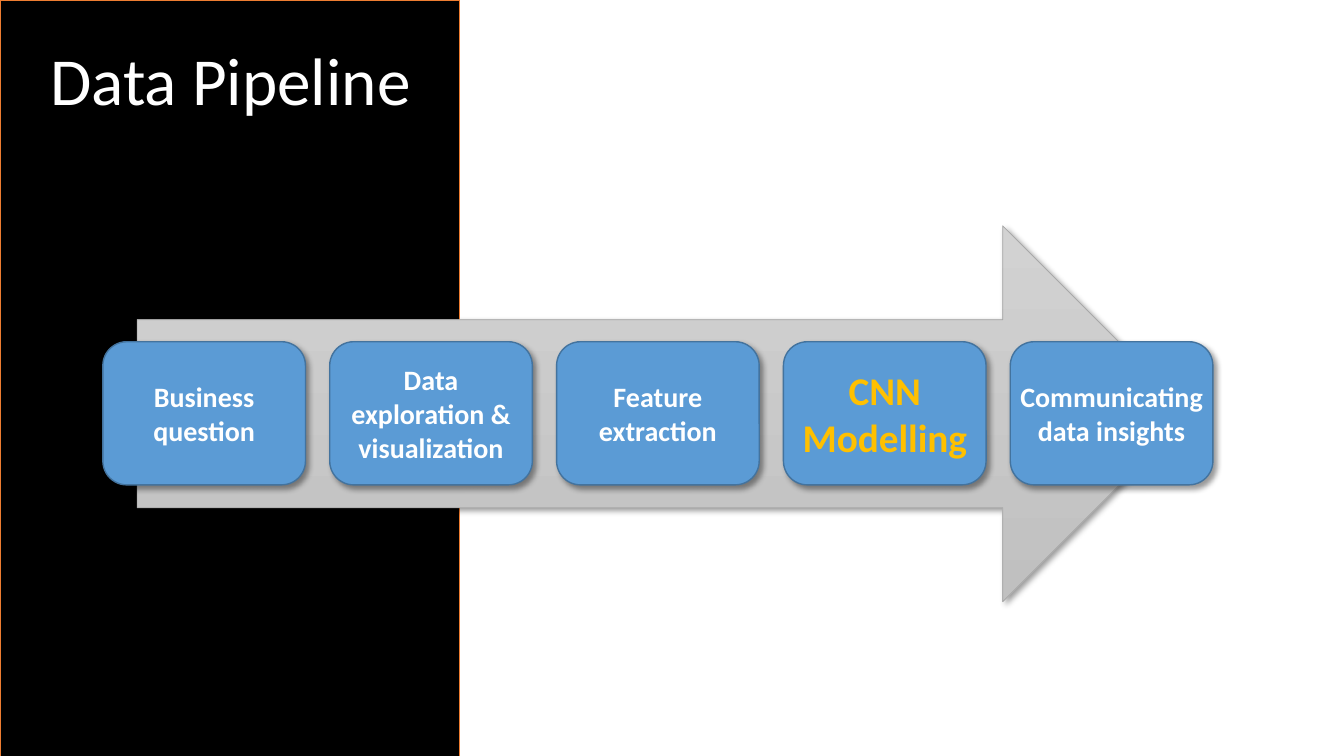
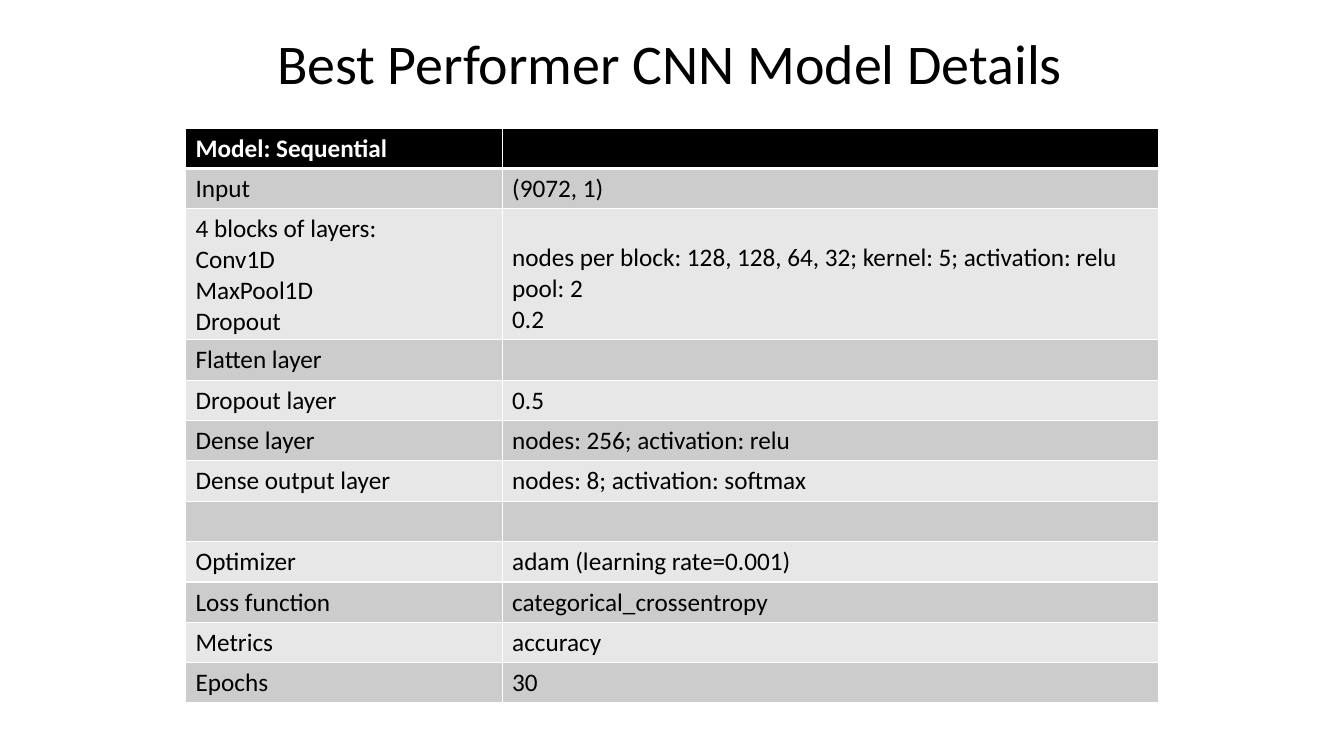
from dataclasses import dataclass

from lxml.etree import SubElement
from pptx import Presentation
from pptx.dml.color import RGBColor
from pptx.enum.shapes import MSO_SHAPE
from pptx.enum.text import MSO_ANCHOR, MSO_AUTO_SIZE, PP_ALIGN
from pptx.oxml import parse_xml
from pptx.oxml.ns import nsdecls, qn
from pptx.util import Inches, Pt


@dataclass(frozen=True)
class Theme:
    font: str = "Calibri"
    black: str = "000000"
    white: str = "FFFFFF"
    panel_line: str = "ED7D31"
    arrow_top: str = "D2D2D2"
    arrow_bottom: str = "C0C0C0"
    arrow_line: str = "A5A5A5"
    step: str = "5B9BD5"
    step_line: str = "43739E"
    highlight: str = "FFC000"
    band_dark: str = "CCCCCC"
    band_light: str = "E7E7E7"
    cover_title: int = 48
    title: int = 40
    highlight_size: int = 28
    label: int = 20
    body: int = 18


THEME = Theme()


def rgb(value):
    return RGBColor.from_string(value)


def add_shadow(effects):
    shadow = SubElement(effects, qn("a:outerShdw"), blurRad=str(Pt(4)),
                        dist=str(Pt(3)), dir="2700000", algn="tl", rotWithShape="0")
    color = SubElement(shadow, qn("a:srgbClr"), val=THEME.black)
    SubElement(color, qn("a:alpha"), val="40000")


def put_text(tf, text, size=THEME.body, color=THEME.black, bold=False,
             align=PP_ALIGN.LEFT, shadow=False):
    for i, line in enumerate(text.split("\n")):
        p = tf.paragraphs[0] if i == 0 else tf.add_paragraph()
        p.alignment = align
        r = p.add_run()
        r.text = line
        r.font.size = Pt(size)
        r.font.bold = bold
        r.font.color.rgb = rgb(color)
        r.font.name = THEME.font
        if shadow:
            effects = parse_xml(f"<a:effectLst {nsdecls('a')}/>")
            r._r.get_or_add_rPr().find(qn("a:latin")).addprevious(effects)
            add_shadow(effects)


class Deck:
    def __init__(self, theme):
        self.theme = theme
        self.prs = Presentation()
        self.prs.slide_width = Inches(13.33)
        self.prs.slide_height = Inches(7.5)
        self.s = None

    def new_slide(self):
        self.s = self.prs.slides.add_slide(self.prs.slide_layouts[6])

    def title(self, text, x, y, w, h, **fmt):
        sp = self.s.shapes.add_textbox(Inches(x), Inches(y), Inches(w), Inches(h))
        tf = sp.text_frame
        tf.word_wrap = True
        tf.auto_size = MSO_AUTO_SIZE.SHAPE_TO_FIT_TEXT
        put_text(tf, text, **fmt)

    def shape(self, kind, x, y, w, h, fill, line, line_width, shadow=True):
        sp = self.s.shapes.add_shape(kind, Inches(x), Inches(y), Inches(w), Inches(h))
        if isinstance(fill, tuple):
            sp.fill.gradient()
            sp.fill.gradient_angle = 270
            for stop, color in zip(sp.fill.gradient_stops, fill):
                stop.color.rgb = rgb(color)
        else:
            sp.fill.solid()
            sp.fill.fore_color.rgb = rgb(fill)
        sp.line.color.rgb = rgb(line)
        sp.line.width = Pt(line_width)
        sp.shadow.inherit = False
        if shadow:
            add_shadow(sp._element.spPr.find(qn("a:effectLst")))
        return sp

    def step(self, text, x, y, w, h, **fmt):
        sp = self.shape(MSO_SHAPE.ROUNDED_RECTANGLE, x, y, w, h,
                        self.theme.step, self.theme.step_line, 1)
        tf = sp.text_frame
        tf.word_wrap = False
        tf.margin_left = tf.margin_right = 0
        tf.vertical_anchor = MSO_ANCHOR.MIDDLE
        put_text(tf, text, bold=True, align=PP_ALIGN.CENTER, shadow=True, **fmt)

    def borders(self, cell, bottom):
        tcPr = cell._tc.get_or_add_tcPr()
        for side, width in (("L", 1), ("R", 1), ("T", 1), ("B", bottom)):
            ln = SubElement(tcPr, qn(f"a:ln{side}"), w=str(Pt(width)))
            fill = SubElement(ln, qn("a:solidFill"))
            SubElement(fill, qn("a:srgbClr"), val=self.theme.white)

    def table(self, rows, x, y, widths, row_height, tall_row, tall_height):
        heights = [tall_height if i == tall_row else row_height
                   for i in range(len(rows))]
        tbl = self.s.shapes.add_table(
            len(rows), len(widths), Inches(x), Inches(y),
            Inches(sum(widths)), Inches(sum(heights))).table
        tbl.horz_banding = False
        for col, width in zip(tbl.columns, widths):
            col.width = Inches(width)
        bands = (self.theme.band_light, self.theme.band_dark)
        for i, row in enumerate(rows):
            tbl.rows[i].height = Inches(heights[i])
            header = i == 0
            for j, text in enumerate(row):
                cell = tbl.cell(i, j)
                self.borders(cell, 3 if header else 1)
                cell.fill.solid()
                cell.fill.fore_color.rgb = rgb(self.theme.black if header else bands[i % 2])
                if i == tall_row:
                    cell.vertical_anchor = MSO_ANCHOR.BOTTOM
                if text:
                    put_text(cell.text_frame, text, bold=header,
                             color=self.theme.white if header else self.theme.black)


def pipeline_slide(deck):
    t = deck.theme
    deck.new_slide()
    deck.shape(MSO_SHAPE.RECTANGLE, 0, 0, 4.56, 7.5, t.black, t.panel_line, 0.5,
               shadow=False)
    deck.title("Data Pipeline", 0.4, 0.33, 4.08, 0.91, size=t.cover_title, color=t.white)
    deck.shape(MSO_SHAPE.RIGHT_ARROW, 1.36, 2.24, 10.45, 3.73,
               (t.arrow_top, t.arrow_bottom), t.arrow_line, 0.5)
    normal = dict(size=t.label, color=t.white)
    strong = dict(size=t.highlight_size, color=t.highlight)
    steps = [
        ("Business\nquestion", normal),
        ("Data\nexploration &\nvisualization", normal),
        ("Feature\nextraction", normal),
        ("CNN\nModelling", strong),
        ("Communicating\ndata insights", normal),
    ]
    for i, (text, fmt) in enumerate(steps):
        deck.step(text, 1.02 + 2.25 * i, 3.39, 2.01, 1.42, **fmt)


def model_slide(deck):
    deck.new_slide()
    deck.title("Best Performer CNN Model Details", 2.65, 0.23, 8.32, 0.77,
               size=deck.theme.title)
    rows = [
        ("Model: Sequential", ""),
        ("Input", "(9072, 1)"),
        ("4 blocks of layers:\nConv1D\nMaxPool1D\nDropout",
         "nodes per block: 128, 128, 64, 32; kernel: 5; activation: relu\npool: 2\n0.2"),
        ("Flatten layer", ""),
        ("Dropout layer", "0.5"),
        ("Dense layer", "nodes: 256; activation: relu"),
        ("Dense output layer", "nodes: 8; activation: softmax"),
        ("", ""),
        ("Optimizer", "adam (learning rate=0.001)"),
        ("Loss function", "categorical_crossentropy"),
        ("Metrics", "accuracy"),
        ("Epochs", "30"),
    ]
    deck.table(rows, 1.84, 1.27, (3.14, 6.51), row_height=0.4, tall_row=2, tall_height=1.3)


def main():
    deck = Deck(THEME)
    pipeline_slide(deck)
    model_slide(deck)
    deck.prs.save("out.pptx")


if __name__ == "__main__":
    main()
